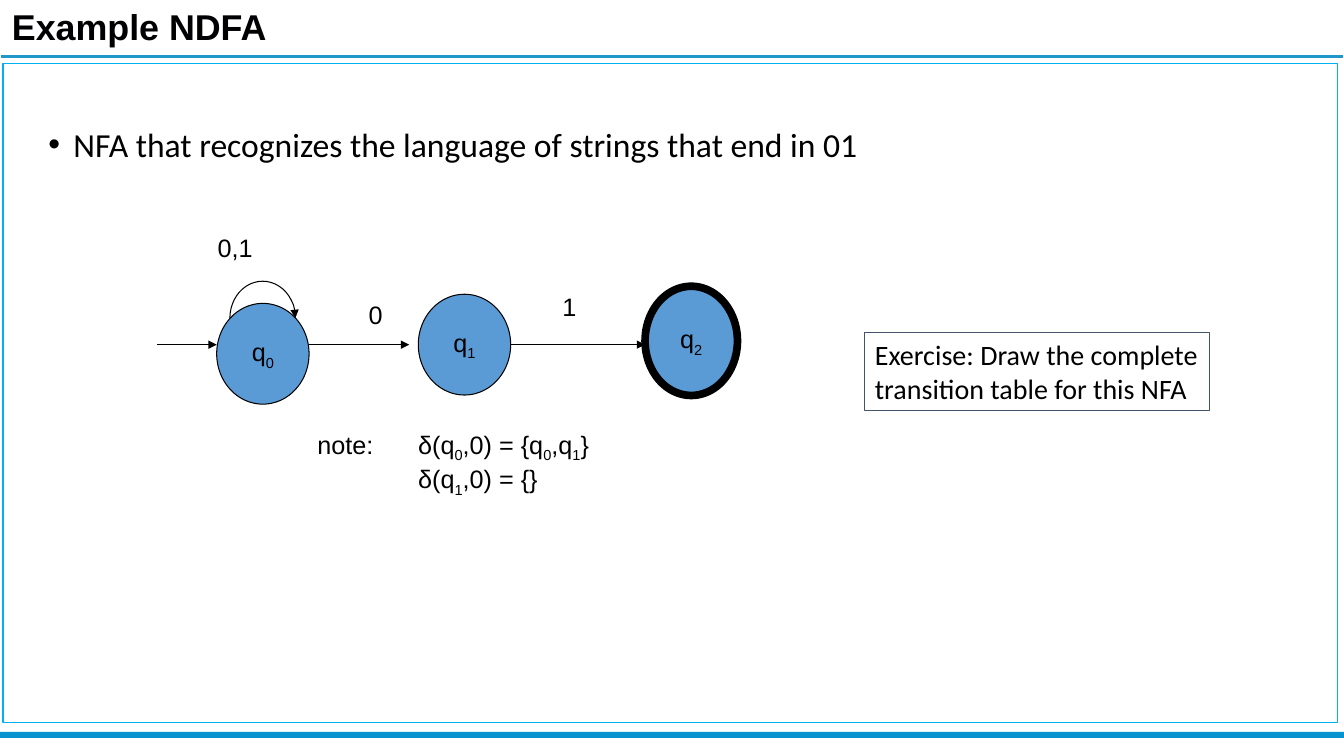
from lxml.etree import SubElement
from pptx import Presentation
from pptx.dml.color import RGBColor
from pptx.enum.shapes import MSO_CONNECTOR, MSO_SHAPE
from pptx.enum.text import MSO_ANCHOR, PP_ALIGN
from pptx.oxml.ns import qn
from pptx.util import Pt

BLACK = RGBColor(0x00, 0x00, 0x00)
INK = RGBColor(0x01, 0x01, 0x03)
WHITE = RGBColor(0xFF, 0xFF, 0xFF)
RULE = RGBColor(0x1F, 0x97, 0xC8)
BAND = RGBColor(0x07, 0x93, 0xCF)
CYAN = RGBColor(0x00, 0xB0, 0xF0)
SLATE = RGBColor(0x44, 0x54, 0x6A)
BLUE = RGBColor(0x5B, 0x9B, 0xD5)

AXIS = 246.2


def add_text(frame, text, size=18, font="Arial", color=BLACK):
    """Fill the first paragraph; an underscore lowers the next character."""
    para = frame.paragraphs[0]
    for row, line in enumerate(text.split("\n")):
        if row:
            para.add_line_break()
        for part, piece in enumerate(line.split("_")):
            chunks = [(piece[:1], True), (piece[1:], False)] if part else [(piece, False)]
            for chunk, low in chunks:
                if not chunk:
                    continue
                run = para.add_run()
                run.text = chunk
                run.font.size = Pt(size)
                run.font.name = font
                run.font.color.rgb = color
                if low:
                    run._r.get_or_add_rPr().set("baseline", "-25000")
    return para


def add_box(slide, left, top, width, height, text, **style):
    box = slide.shapes.add_textbox(Pt(left), Pt(top), Pt(width), Pt(height))
    box.text_frame.word_wrap = True
    return box, add_text(box.text_frame, text, **style)


def add_form(slide, kind, left, top, width, height, fill=None, line=None, weight=0.75):
    form = slide.shapes.add_shape(kind, Pt(left), Pt(top), Pt(width), Pt(height))
    form.shadow.inherit = False
    if fill is None:
        form.fill.background()
    else:
        form.fill.solid()
        form.fill.fore_color.rgb = fill
    if line is None:
        form.line.fill.background()
    else:
        form.line.color.rgb = line
        form.line.width = Pt(weight)
    return form


def add_state(slide, left, top, height, name, weight=0.75):
    state = add_form(slide, MSO_SHAPE.OVAL, left, top, 66, height, BLUE, BLACK, weight)
    frame = state.text_frame
    frame.word_wrap = False
    frame.vertical_anchor = MSO_ANCHOR.MIDDLE
    add_text(frame, name).alignment = PP_ALIGN.CENTER


def add_head(item):
    SubElement(item.line._get_or_add_ln(), qn("a:tailEnd"), type="triangle")


def add_line(slide, start, end, level, color=BLACK, weight=0.75):
    line = slide.shapes.add_connector(
        MSO_CONNECTOR.STRAIGHT, Pt(start), Pt(level), Pt(end), Pt(level))
    line.line.color.rgb = color
    line.line.width = Pt(weight)
    SubElement(line._element.spPr, qn("a:effectLst"))
    return line


def add_loop(slide, left, top, width, height):
    """Draw the upper half of an ellipse, clockwise, with an arrowhead."""
    loop = add_form(slide, MSO_SHAPE.ARC, left, top, width, height, line=BLACK)
    loop.adjustments[0] = 108
    loop.adjustments[1] = 0
    add_head(loop)


def add_bullet(slide):
    _, para = add_box(slide, 27.4, 70.6, 893.5, 62,
                      "NFA that recognizes the language of strings that end in 01",
                      size=24, font="Calibri")
    props = para._p.get_or_add_pPr()
    props.set("marL", str(Pt(18)))
    props.set("indent", str(-Pt(18)))
    SubElement(props, qn("a:buFont"), typeface="Arial")
    SubElement(props, qn("a:buChar"), char="•")
    para.line_spacing = 1.5


def add_note(slide):
    _, para = add_box(slide, 219.6, 303.1, 265.7, 64.8,
                      "note:\tδ(q_0,0) = {q_0,q_1}\n\tδ(q_1,0) = {}")
    tabs = SubElement(para._p.get_or_add_pPr(), qn("a:tabLst"))
    SubElement(tabs, qn("a:tab"), pos=str(Pt(72)), algn="l")


def add_title(slide):
    box, para = add_box(slide, 8.6, 3.6, 568, 31, "Example NDFA", size=25.6, color=INK)
    frame = box.text_frame
    frame.margin_left = frame.margin_right = 0
    frame.margin_top = frame.margin_bottom = 0
    para.runs[0].font.bold = True


def add_task(slide):
    task = add_form(slide, MSO_SHAPE.RECTANGLE, 617.8, 237.6, 246.2, 55.4, line=SLATE)
    task.text_frame.word_wrap = True
    task.text_frame.vertical_anchor = MSO_ANCHOR.TOP
    para = add_text(task.text_frame,
                    "Exercise: Draw the complete transition table for this NFA",
                    size=20, font="Calibri")
    para.alignment = PP_ALIGN.LEFT


def add_graph(slide):
    add_state(slide, 154.8, 216.7, 72, "q_0")
    add_state(slide, 460.8, 204.5, 78, "q_2", 5.5)
    add_loop(slide, 164.2, 200.9, 46.8, 52.6)
    add_state(slide, 298.8, 210.2, 72, "q_1")
    for start, end in [(112.3, 154.8), (220.5, 292.3), (364.5, 460.8)]:
        add_head(add_line(slide, start, end, AXIS))
    for left, top, width, text in [(148.3, 162.7, 66, "0,1"),
                                   (256.3, 210.2, 27.4, "0"),
                                   (394.6, 204.5, 27.4, "1")]:
        add_box(slide, left, top, width, 36, text)


def main():
    deck = Presentation()
    deck.slide_width, deck.slide_height = Pt(960), Pt(540)
    slide = deck.slides.add_slide(deck.slide_layouts[6])
    add_line(slide, 0.7, 959, 40.3, RULE, 2.25)
    add_title(slide)
    add_form(slide, MSO_SHAPE.RECTANGLE, 0, 522.7, 960, 4.4, BAND)
    add_form(slide, MSO_SHAPE.RECTANGLE, 2.2, 45.4, 953.3, 470.9, WHITE, CYAN, 1)
    add_bullet(slide)
    add_task(slide)
    add_graph(slide)
    add_note(slide)
    deck.save("out.pptx")


if __name__ == "__main__":
    main()
